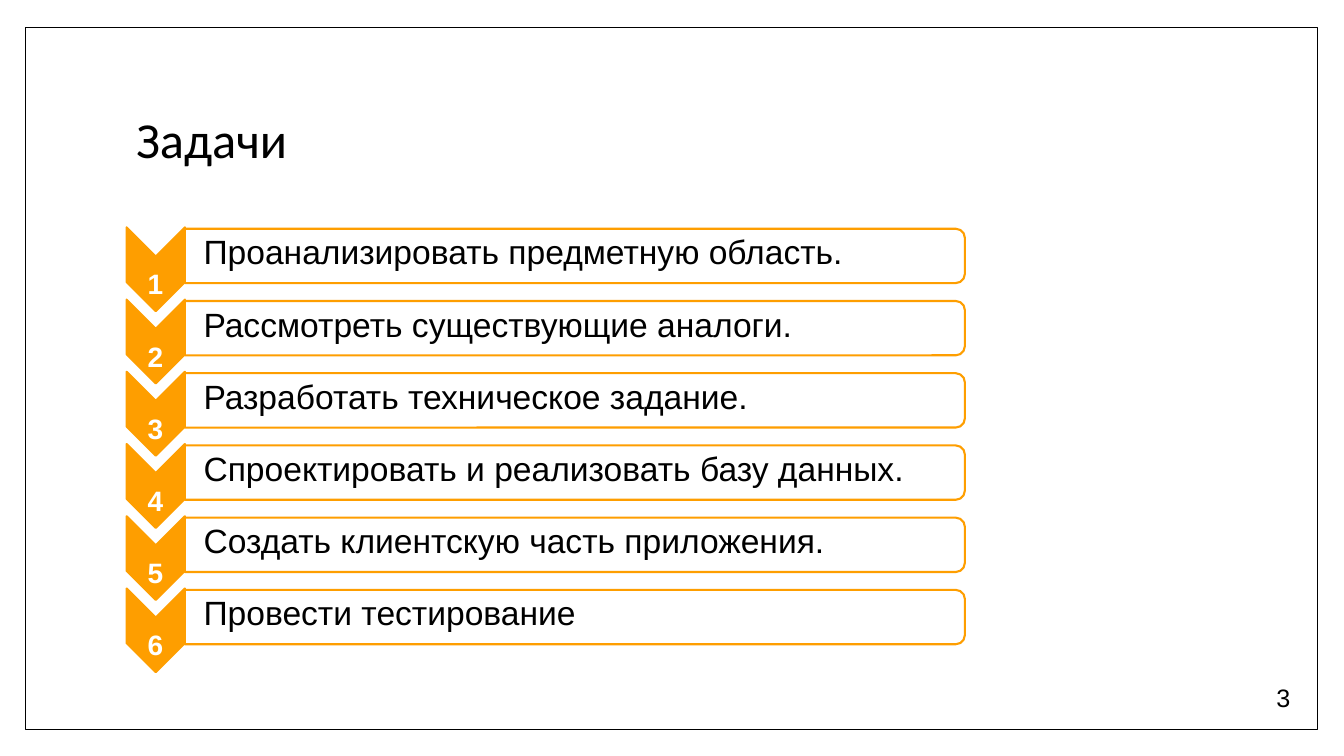
from pptx import Presentation
from pptx.dml.color import RGBColor
from pptx.enum import shapes, text
from pptx.util import Cm, Pt

ORANGE, WHITE, BLACK = "FE9E00", "FFFFFF", "000000"
TASKS = [
    "Проанализировать предметную область.",
    "Рассмотреть существующие аналоги.",
    "Разработать техническое задание.",
    "Спроектировать и реализовать базу данных.",
    "Создать клиентскую часть приложения.",
    "Провести тестирование",
]
ROW_STEP = 1.82


def add_figure(kind, left, top, width, height, fill, line, weight, rotation=0):
    figure = slide.shapes.add_shape(kind, Cm(left), Cm(top), Cm(width), Cm(height))
    figure.shadow.inherit = False
    figure.rotation = rotation
    figure.fill.solid()
    figure.fill.fore_color.rgb = RGBColor.from_string(fill)
    figure.line.color.rgb = RGBColor.from_string(line)
    figure.line.width = Pt(weight)
    return figure


def write(wording, left, top, width, height, holder=None, size=24, font="Arial", color=BLACK,
          bold=False, align=text.PP_ALIGN.LEFT, spacing=0.9, insets=(0.25, 0.13, 0.25, 0.13)):
    """Fill the given placeholder, or a new text box, with one formatted paragraph."""
    holder = holder or slide.shapes.add_textbox(0, 0, 0, 0)
    holder.left, holder.top, holder.width, holder.height = map(Cm, (left, top, width, height))
    frame = holder.text_frame
    frame.word_wrap = True
    frame.auto_size = text.MSO_AUTO_SIZE.NONE
    frame.vertical_anchor = text.MSO_ANCHOR.MIDDLE
    (frame.margin_left, frame.margin_top,
     frame.margin_right, frame.margin_bottom) = map(Cm, insets)
    paragraph = frame.paragraphs[0]
    paragraph.alignment = align
    paragraph.line_spacing = spacing
    run = paragraph.add_run()
    run.text = wording
    run.font.name, run.font.size, run.font.bold = font, Pt(size), bold
    run.font.color.rgb = RGBColor.from_string(color)


prs = Presentation()
prs.slide_width, prs.slide_height = Cm(33.87), Cm(19.05)
slide = prs.slides.add_slide(prs.slide_layouts[5])

# The page frame lies behind the title
title = slide.shapes.title
page_frame = add_figure(shapes.MSO_SHAPE.RECTANGLE, 0.64, 0.69, 32.56, 17.7, WHITE, BLACK, 1)
title.element.addprevious(page_frame.element)
write("Задачи", 3.18, 1.7, 27.43, 3.76, holder=title, size=36, font="Calibri")

# Each task: a chevron pointing down, and a bar rounded on its right side
for number, task in enumerate(TASKS, start=1):
    offset = (number - 1) * ROW_STEP
    add_figure(shapes.MSO_SHAPE.CHEVRON, 2.87, 6.05 + offset, 2.11, 1.47,
               ORANGE, ORANGE, 1.5, rotation=90)
    write(str(number), 3.18, 6.88 + offset, 1.47, 0.64, size=20, color=WHITE, bold=True,
          align=text.PP_ALIGN.CENTER, insets=(0.03,) * 4)
    add_figure(shapes.MSO_SHAPE.ROUND_2_SAME_RECTANGLE, 13.8, -3.38 + offset, 1.37, 19.66,
               WHITE, ORANGE, 1.5, rotation=90)
    write(task, 4.65, 5.79 + offset, 19.61, 1.22, insets=(0.48, 0.04, 0.04, 0.04))

write("3", 31.17, 17.07, 1.6, 1.02, size=18, align=text.PP_ALIGN.RIGHT, spacing=1.0)

prs.save("out.pptx")
